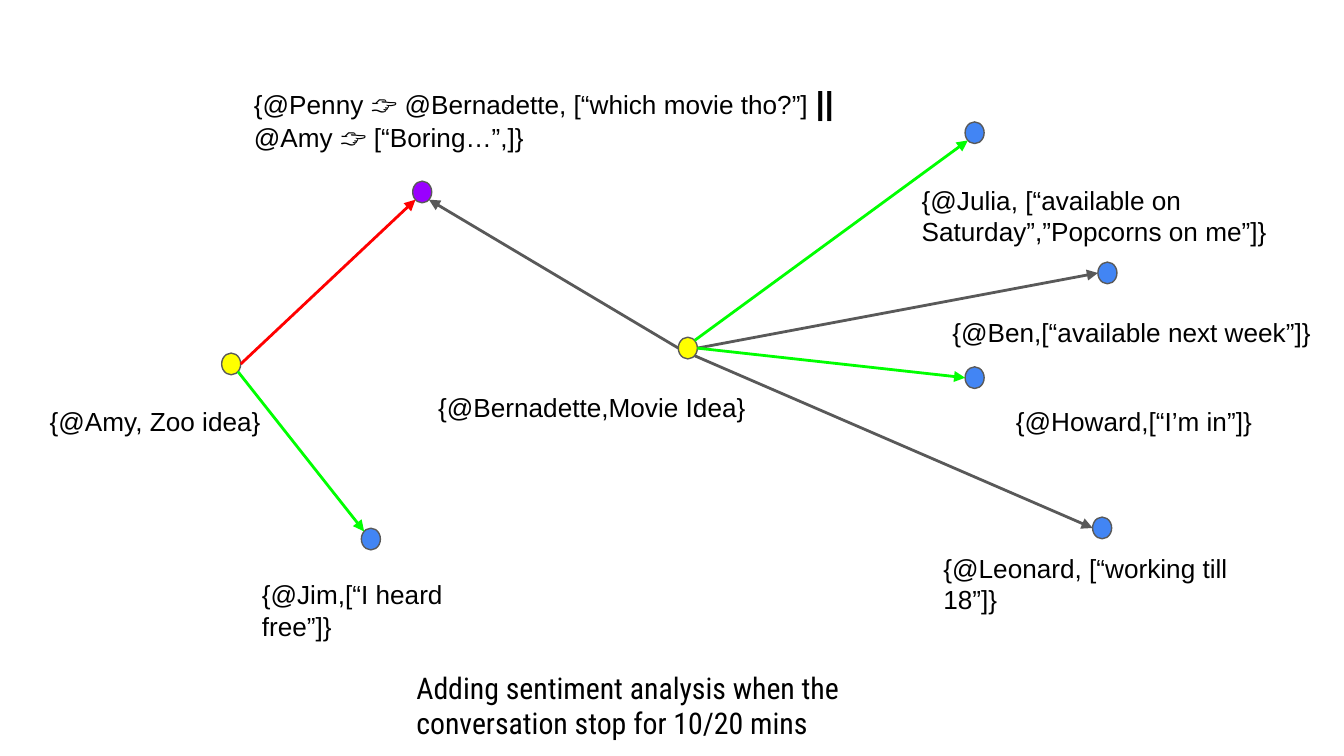
from math import copysign, sqrt

from lxml import etree
from pptx import Presentation
from pptx.dml.color import RGBColor
from pptx.enum.shapes import MSO_CONNECTOR, MSO_SHAPE
from pptx.oxml.ns import qn
from pptx.util import Cm, Pt

STRAIGHT = MSO_CONNECTOR.STRAIGHT
OVAL = MSO_SHAPE.OVAL

BLACK = RGBColor(0x00, 0x00, 0x00)
GREY = RGBColor(0x59, 0x59, 0x59)
YELLOW = RGBColor(0xFF, 0xFF, 0x00)
BLUE = RGBColor(0x42, 0x85, 0xF4)
PURPLE = RGBColor(0x99, 0x00, 0xFF)
GREEN = RGBColor(0x00, 0xFF, 0x00)
RED = RGBColor(0xFF, 0x00, 0x00)

NODE_WIDTH, NODE_HEIGHT = 0.36, 0.41
INSET = 0.25
ONE_LINE, TWO_LINES = 1.12, 1.7

SHARED_BOX = (4.55, 1.32)
ZOO_BOX = (0.6, 6.5)
MOVIE_BOX = (8, 2)
CAPTION_BOX = (7.62, 12.4, 9.17, 1.88)

ZOO_TOPIC = ((3.77, 0.38), "{@Amy, Zoo idea}", (0.09, 0.92, 4.57, ONE_LINE))
ZOO_REPLIES = [
    ((6.41, 3.69), "{@Jim,[“I heard free”]}", (4.1, 4.19, 5.16, TWO_LINES),
     GREEN, (1, 1), (-1, -1)),
]
MOVIE_TOPIC = ((5, 4.58), "{@Bernadette,Movie Idea}", (0.03, 5.14, 7.42, ONE_LINE))
MOVIE_REPLIES = [
    ((10.42, 0.51), "{@Julia, [“available on Saturday”,”Popcorns on me”]}",
     (9.17, 1.23, 8.2, TWO_LINES), GREEN, (1, -1), (-1, 1)),
    ((12.93, 3.16), "{@Ben,[“available next week”]}",
     (9.75, 3.74, 7.59, ONE_LINE), GREY, (1, 0), (-1, 0)),
    ((10.42, 5.14), "{@Howard,[“I’m in”]}",
     (10.95, 5.42, 7.39, ONE_LINE), GREEN, (1, 0), (-1, 0)),
    ((12.83, 7.98), "{@Leonard, [“working till 18”]}",
     (9.58, 8.19, 6.73, TWO_LINES), GREY, (1, 1), (-1, 0)),
]


def offset(box, point):
    """Return a point of a box in slide coordinates."""
    return box[0] + point[0], box[1] + point[1]


def rim_point(center, side):
    """Return the point on a node's rim that lies towards a side."""
    scale = sqrt(0.5) if all(side) else 1
    return (center[0] + side[0] * scale * NODE_WIDTH / 2,
            center[1] + side[1] * scale * NODE_HEIGHT / 2)


def format_run(run, size=14, font_name="Arial", bold=False):
    """Apply font settings to a run."""
    run.font.size = Pt(size)
    run.font.name = font_name
    run.font.bold = bold
    run.font.color.rgb = BLACK


def add_label(slide, box, lines, size=14, font_name="Arial"):
    """Add a wrapping text box with one paragraph per line."""
    text_box = slide.shapes.add_textbox(*(Cm(length) for length in box))
    text_frame = text_box.text_frame
    text_frame.word_wrap = True
    text_frame.margin_left = text_frame.margin_right = Cm(INSET)
    text_frame.margin_top = text_frame.margin_bottom = Cm(INSET)
    text_frame.text = "\n".join(lines)
    for paragraph in text_frame.paragraphs:
        for run in paragraph.runs:
            format_run(run, size, font_name)
    return text_frame


def add_node(slide, center, color):
    """Add an outlined oval around a center point."""
    shape = slide.shapes.add_shape(
        OVAL, Cm(center[0] - NODE_WIDTH / 2), Cm(center[1] - NODE_HEIGHT / 2),
        Cm(NODE_WIDTH), Cm(NODE_HEIGHT))
    shape.shadow.inherit = False
    shape.fill.solid()
    shape.fill.fore_color.rgb = color
    shape.line.color.rgb = GREY
    shape.line.width = Pt(0.75)


def add_arrow(slide, start, end, color):
    """Add a straight arrow between two points."""
    connector = slide.shapes.add_connector(
        STRAIGHT, *(Cm(length) for length in (*start, *end)))
    connector.line.color.rgb = color
    connector.line.width = Pt(1.5)
    line = connector.line._get_or_add_ln()
    etree.SubElement(line, qn("a:tailEnd"), type="triangle")
    etree.SubElement(connector._element.spPr, qn("a:effectLst"))


def add_shared_reply(slide, box):
    """Add the reply both topics lead to and return its node center."""
    center = offset(box, (3.43, 2.31))
    text_frame = add_label(
        slide, (*box, 12.37, 1.83),
        ["{@Penny 👉 @Bernadette, [“which movie tho?”] ", "@Amy 👉 [“Boring…”,]}"])
    separator = text_frame.paragraphs[0].add_run()
    separator.text = "||"
    format_run(separator, size=17, bold=True)
    add_node(slide, center, PURPLE)
    return center


def add_topic(slide, box, topic, replies, shared_center, shared_color, shared_exit):
    """Add a topic node with its replies and its arrow to the shared reply."""
    topic_point, topic_text, topic_label = topic
    center = offset(box, topic_point)
    add_label(slide, (*offset(box, topic_label), *topic_label[2:]), [topic_text])
    add_node(slide, center, YELLOW)
    shared_side = (copysign(1, center[0] - shared_center[0]), 1)
    add_arrow(slide, rim_point(center, shared_exit),
              rim_point(shared_center, shared_side), shared_color)
    for point, text, label, color, exit_side, entry_side in replies:
        reply_center = offset(box, point)
        add_label(slide, (*offset(box, label), *label[2:]), [text])
        add_node(slide, reply_center, BLUE)
        add_arrow(slide, rim_point(center, exit_side),
                  rim_point(reply_center, entry_side), color)


def add_caption(slide, box):
    """Add the closing remark."""
    add_label(slide, box,
              ["Adding sentiment analysis when the conversation stop for 10/20 mins"],
              size=16, font_name="Roboto Condensed")


def main():
    """Build and save the conversation graph slide."""
    presentation = Presentation()
    presentation.slide_width = Cm(25.4)
    presentation.slide_height = Cm(14.29)
    slide = presentation.slides.add_slide(presentation.slide_layouts[6])
    shared_center = add_shared_reply(slide, SHARED_BOX)
    add_topic(slide, ZOO_BOX, ZOO_TOPIC, ZOO_REPLIES, shared_center, RED, (1, 0))
    add_topic(slide, MOVIE_BOX, MOVIE_TOPIC, MOVIE_REPLIES, shared_center, GREY, (-1, 0))
    add_caption(slide, CAPTION_BOX)
    presentation.save("out.pptx")


if __name__ == "__main__":
    main()
